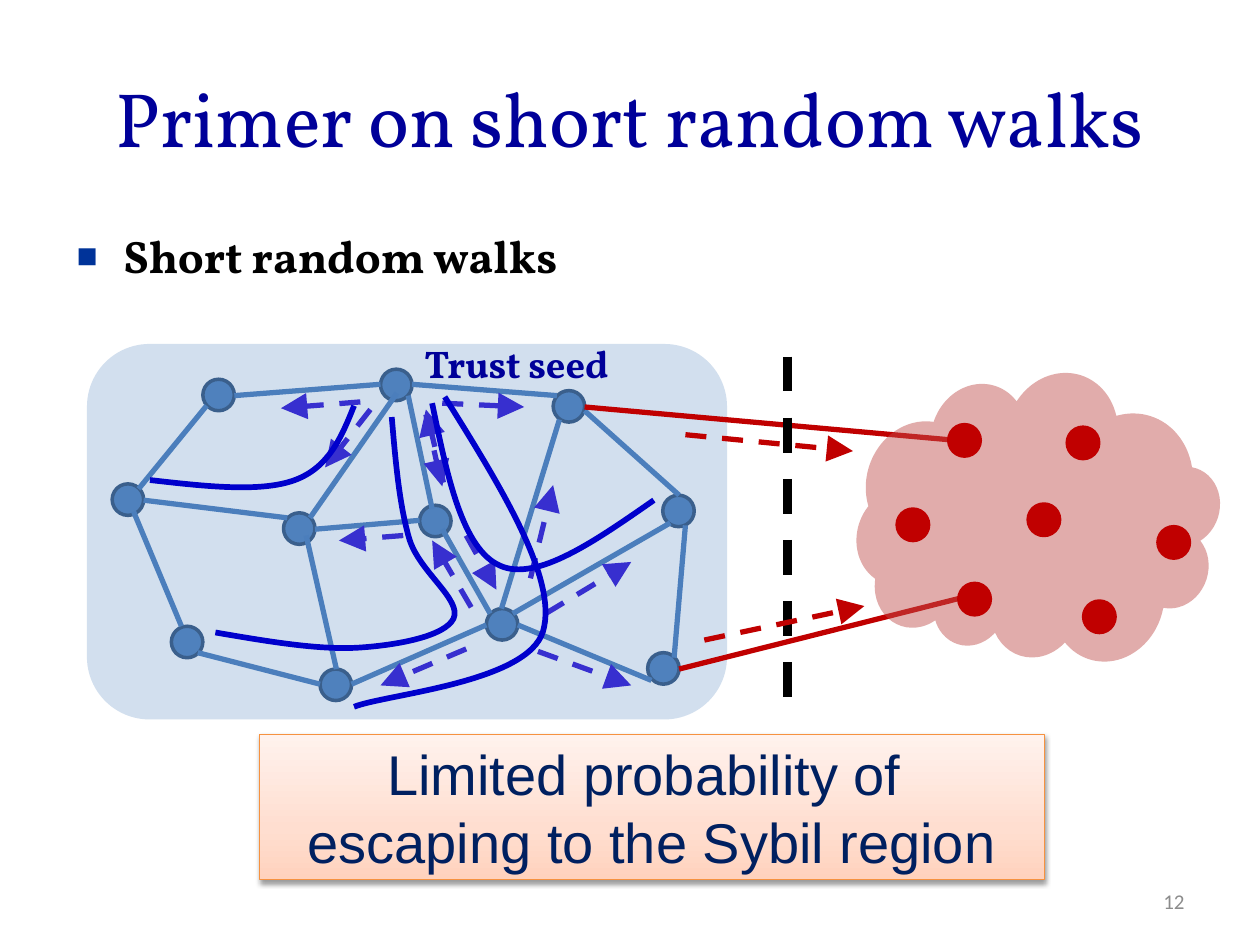
from lxml.etree import SubElement
from pptx import Presentation
from pptx.dml.color import RGBColor
from pptx.enum.dml import MSO_LINE
from pptx.enum.shapes import MSO_CONNECTOR, MSO_SHAPE
from pptx.enum.text import MSO_ANCHOR, MSO_AUTO_SIZE, PP_ALIGN
from pptx.oxml.ns import qn
from pptx.util import Pt

PX = 9144  # EMU per px, 100 px to the inch
NODE = 25  # node diameter in px

WHITE = RGBColor(0xFF, 0xFF, 0xFF)
BLACK = RGBColor(0, 0, 0)
NAVY = RGBColor(0, 0, 0x99)
DEEP_BLUE = RGBColor(0, 0x20, 0x60)
BULLET_BLUE = RGBColor(0, 0x33, 0x99)
NODE_BLUE = RGBColor(0x4F, 0x81, 0xBD)
NODE_EDGE = RGBColor(0x3A, 0x5F, 0x8C)
LINK_BLUE = RGBColor(0x4B, 0x7E, 0xBC)
STEP_BLUE = RGBColor(0x37, 0x2F, 0xCF)
WALK_BLUE = RGBColor(0, 0, 0xCC)
RED = RGBColor(0xC0, 0, 0)
CLOUD_RED = RGBColor(0xC0, 0x50, 0x4D)
ORANGE = RGBColor(0xF6, 0x92, 0x40)
GREY = RGBColor(0x8C, 0x8C, 0x8C)
PEACHES = [(0, RGBColor(0xFF, 0xD2, 0xBD)), (35, RGBColor(0xFF, 0xDE, 0xD0)),
           (100, RGBColor(0xFF, 0xF2, 0xED))]

# Trust region, relative to its box
TRUST_NODES = [(264, 128), (92, 28), (20, 111), (67, 224), (185, 258), (233, 20),
               (445, 245), (156, 134), (457, 120), (317, 210), (370, 37)]
TRUST_LINKS = [
    (117, 41, 233, 32), (41, 115, 95, 49), (37, 133, 75, 224), (88, 245, 185, 270),
    (174, 152, 198, 258), (45, 124, 159, 138), (246, 39, 177, 138),
    (317, 223, 210, 270), (282, 147, 320, 214), (448, 267, 342, 223),
    (255, 41, 274, 131), (258, 32, 373, 41), (338, 214, 463, 142),
    (395, 53, 470, 120), (475, 144, 466, 249), (375, 60, 329, 210),
    (181, 147, 264, 140)]
WALK_STEPS = [
    (282, 47, 347, 50), (269, 56, 282, 113), (225, 52, 189, 98), (217, 46, 154, 51),
    (251, 152, 200, 156), (301, 152, 325, 195), (283, 110, 269, 52),
    (352, 186, 370, 112), (364, 214, 432, 173), (358, 244, 432, 271),
    (301, 242, 233, 271), (305, 209, 274, 156)]
# Each walk: a start, then three Bezier points per segment
WALKS = [
    [(284, 42), (329, 114), (374, 187), (362, 228), (350, 269), (237, 278), (212, 288)],
    [(274, 47), (286, 105), (298, 163), (328, 176), (357, 189), (404, 156), (450, 124)],
    [(242, 58), (245, 93), (248, 128), (256, 155), (264, 181), (298, 203), (291, 218),
     (284, 232), (247, 239), (216, 241), (184, 243), (143, 236), (102, 229)],
    [(212, 49), (202, 74), (192, 98), (165, 108), (138, 118), (94, 113), (50, 108)]]

# Boundary and Sybil region, relative to their boxes
ATTACK_LINKS = [(75, 248, 297, 192), (0, 40, 289, 66)]
ESCAPE_STEPS = [(80, 62, 213, 75), (95, 225, 222, 198)]
SYBIL_NODES = [(69, 43), (77, 169), (28, 110), (163, 45), (132, 106), (176, 183),
               (235, 124)]


def emu(*lengths):
    return [length * PX for length in lengths]


def place(shape, box):
    for name, value in zip(("left", "top", "width", "height"), emu(*box)):
        setattr(shape, name, value)


def write(paragraph, text, color, **formats):
    run = paragraph.add_run()
    run.text = text
    for name, value in formats.items():
        setattr(run.font, name, value)
    run.font.color.rgb = color


def add_filled(slide, kind, box, fill, line=None, opacity=None):
    shape = slide.shapes.add_shape(kind, *emu(*box))
    shape.shadow.inherit = False
    shape.fill.solid()
    shape.fill.fore_color.rgb = fill
    if opacity:
        color = shape._element.spPr.find(f"{qn('a:solidFill')}/{qn('a:srgbClr')}")
        SubElement(color, qn("a:alpha"), val=str(opacity * 1000))
    if line:
        shape.line.color.rgb = line
        shape.line.width = Pt(2)
    else:
        shape.line.fill.background()
    return shape


def add_nodes(slide, box, nodes, fill, line):
    for x, y in nodes:
        add_filled(slide, MSO_SHAPE.FLOWCHART_CONNECTOR,
                   (box[0] + x, box[1] + y, NODE, NODE), fill, line)


def add_lines(slide, box, lines, color, width=3, dashed=False, arrow=False):
    left, top = box[:2]
    for x1, y1, x2, y2 in lines:
        line = slide.shapes.add_connector(
            MSO_CONNECTOR.STRAIGHT, *emu(left + x1, top + y1, left + x2, top + y2))
        line.line.color.rgb = color
        line.line.width = Pt(width)
        if dashed:
            line.line.dash_style = MSO_LINE.DASH
        if arrow:
            SubElement(line.line._get_or_add_ln(), qn("a:tailEnd"),
                       type="triangle", w="lg", len="lg")
        SubElement(line._element.spPr, qn("a:effectLst"))


def add_curve(slide, box, points, color):
    start, *rest = [(box[0] + x, box[1] + y) for x, y in points]
    builder = slide.shapes.build_freeform(*start, scale=PX)
    builder.add_line_segments(rest, close=False)
    curve = builder.convert_to_shape()
    # Turn each three straight segments into one Bezier segment
    outline = next(curve._element.iter(qn("a:path")))
    segments = outline.findall(qn("a:lnTo"))
    for first in range(0, len(segments), 3):
        bezier = SubElement(outline, qn("a:cubicBezTo"))
        for segment in segments[first:first + 3]:
            bezier.append(segment[0])
            outline.remove(segment)
    curve.shadow.inherit = False
    curve.fill.background()
    curve.line.color.rgb = color
    curve.line.width = Pt(3.25)


def add_label(slide, box, text, color, align=PP_ALIGN.LEFT, anchor=MSO_ANCHOR.TOP, **formats):
    frame = slide.shapes.add_textbox(*emu(*box)).text_frame
    frame.word_wrap = True
    frame.vertical_anchor = anchor
    frame.paragraphs[0].alignment = align
    write(frame.paragraphs[0], text, color, **formats)


def fill_title(slide, box):
    title = slide.shapes.title
    place(title, box)
    frame = title.text_frame
    frame.auto_size = MSO_AUTO_SIZE.NONE
    frame.vertical_anchor = MSO_ANCHOR.MIDDLE
    frame.paragraphs[0].alignment = PP_ALIGN.CENTER
    write(frame.paragraphs[0], "Primer on short random walks", NAVY,
          size=Pt(44), name="Vollkorn")


def fill_body(slide, box):
    body = slide.placeholders[1]
    place(body, box)
    body.text_frame.auto_size = MSO_AUTO_SIZE.NONE
    paragraph = body.text_frame.paragraphs[0]
    paragraph.line_spacing = 1.02
    paragraph.space_before = Pt(0)
    properties = paragraph._p.get_or_add_pPr()
    properties.set("marL", str(38 * PX))
    properties.set("indent", str(-38 * PX))
    SubElement(SubElement(properties, qn("a:buClr")), qn("a:srgbClr"), val=str(BULLET_BLUE))
    SubElement(properties, qn("a:buSzPct"), val="150000")
    SubElement(properties, qn("a:buChar"), char="▪")
    write(paragraph, "Short random walks", BLACK, size=Pt(26), name="Vollkorn", bold=True)


def draw_trust_region(slide, box):
    add_filled(slide, MSO_SHAPE.ROUNDED_RECTANGLE, box, NODE_BLUE, opacity=25)
    add_label(slide, (box[0] + 258, box[1] - 8, 185, 47), "Trust seed", NAVY,
              size=Pt(22), name="Vollkorn", bold=True)
    add_nodes(slide, box, TRUST_NODES, NODE_BLUE, NODE_EDGE)
    add_lines(slide, box, TRUST_LINKS, LINK_BLUE)
    add_lines(slide, box, WALK_STEPS, STEP_BLUE, dashed=True, arrow=True)
    for points in WALKS:
        add_curve(slide, box, points, WALK_BLUE)


def draw_boundary(slide, box):
    add_lines(slide, box, ATTACK_LINKS, RED)
    add_lines(slide, box, [(161, 0, 161, box[3])], BLACK, width=5, dashed=True)
    add_lines(slide, box, ESCAPE_STEPS, RED, dashed=True, arrow=True)


def draw_sybil_region(slide, box):
    cloud = add_filled(slide, MSO_SHAPE.CLOUD, box, CLOUD_RED, opacity=47)
    cloud.rotation = 197.8
    add_nodes(slide, box, SYBIL_NODES, RED, RED)


def draw_conclusion(slide, box):
    banner = add_filled(slide, MSO_SHAPE.RECTANGLE, box, WHITE, ORANGE)
    banner.line.width = Pt(0.75)
    banner.fill.gradient()
    banner.fill.gradient_angle = 90
    stops = next(banner._element.iter(qn("a:gsLst")))
    stops.clear()
    for position, color in PEACHES:
        stop = SubElement(stops, qn("a:gs"), pos=str(position * 1000))
        SubElement(stop, qn("a:srgbClr"), val=str(color))
    # Soft shadow below the banner
    shadow = SubElement(banner._element.spPr.find(qn("a:effectLst")), qn("a:outerShdw"),
                        blurRad=str(Pt(3.1)), dist=str(Pt(1.6)), dir="5400000", rotWithShape="0")
    shade = SubElement(shadow, qn("a:srgbClr"), val=str(BLACK))
    SubElement(shade, qn("a:alpha"), val="38000")
    frame = banner.text_frame
    frame.word_wrap = False
    frame.vertical_anchor = MSO_ANCHOR.MIDDLE
    lines = ["Limited probability of ", "escaping to the Sybil region"]
    for index, text in enumerate(lines):
        paragraph = frame.add_paragraph() if index else frame.paragraphs[0]
        paragraph.alignment = PP_ALIGN.CENTER
        write(paragraph, text, DEEP_BLUE, size=Pt(32), name="Arial")


def main():
    presentation = Presentation()
    presentation.slide_width, presentation.slide_height = emu(1000, 750)
    slide = presentation.slides.add_slide(presentation.slide_layouts[1])
    fill_title(slide, (50, 30, 900, 125))
    fill_body(slide, (50, 175, 900, 495))
    draw_trust_region(slide, (69, 273, 508, 298))
    draw_boundary(slide, (464, 283, 297, 274))
    draw_sybil_region(slide, (684, 294, 282, 233))
    draw_conclusion(slide, (206, 583, 623, 115))
    add_label(slide, (717, 695, 233, 40), "12", GREY, PP_ALIGN.RIGHT, MSO_ANCHOR.MIDDLE,
              size=Pt(12), name="Calibri")
    presentation.save("out.pptx")


if __name__ == "__main__":
    main()
